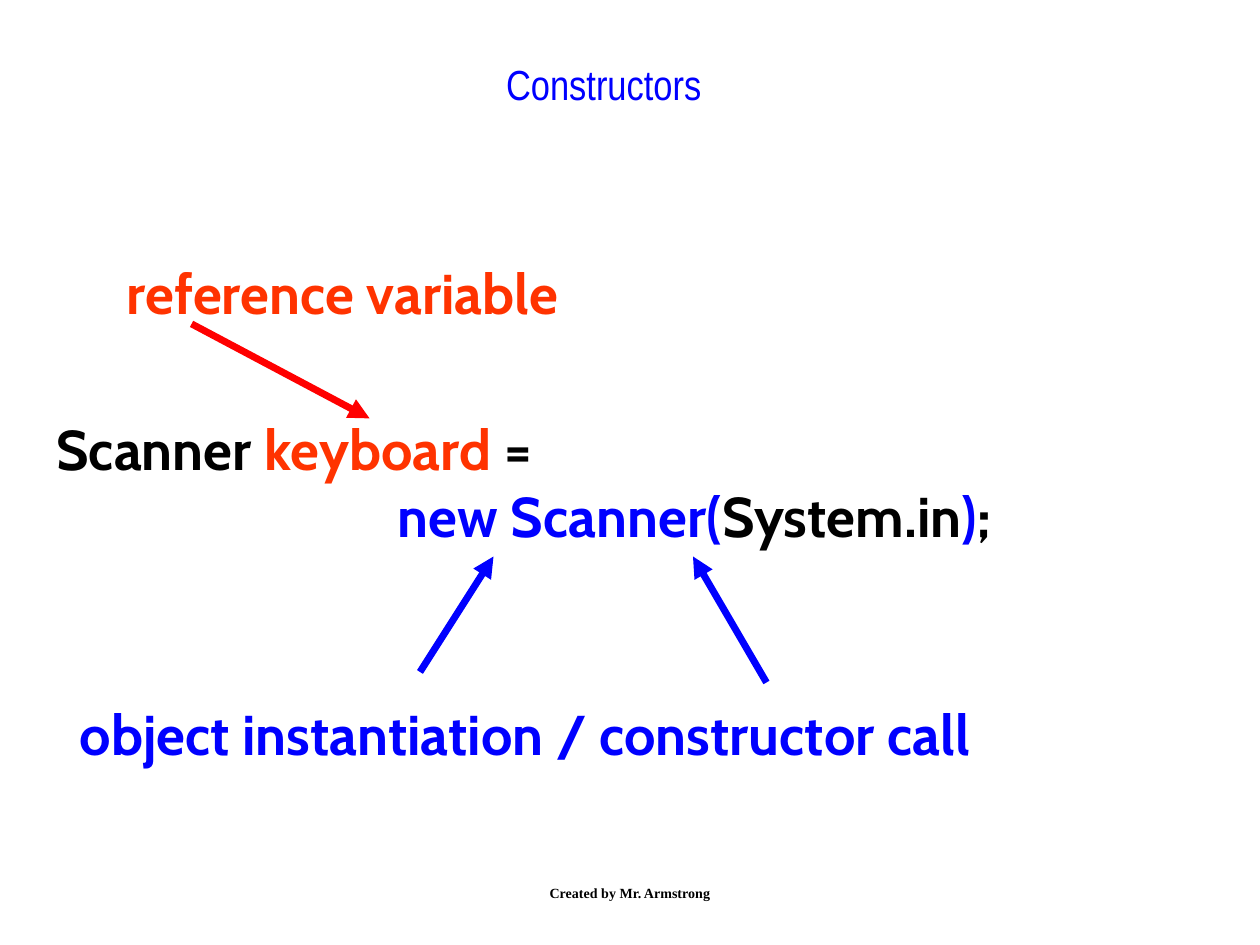
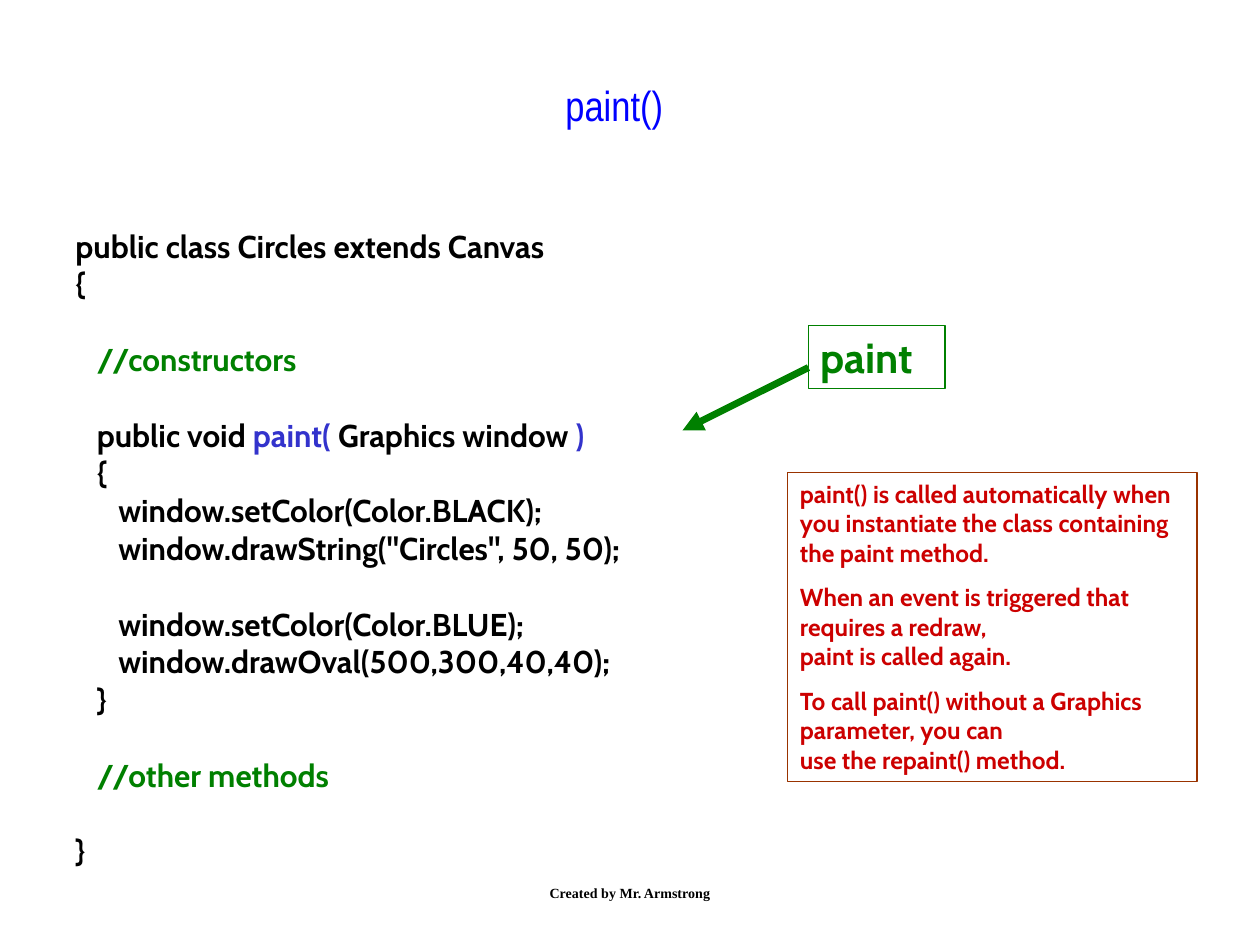
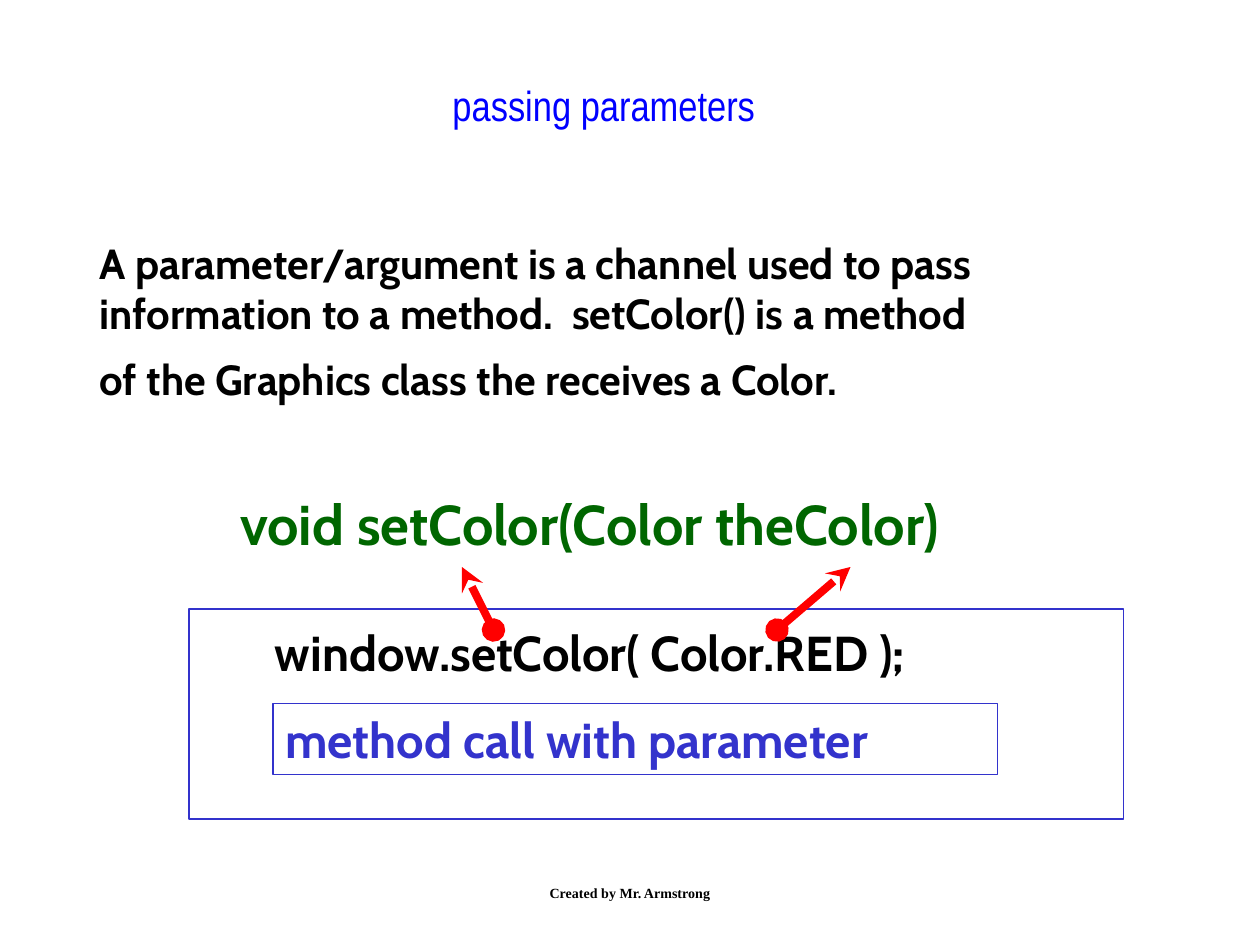
"""Build three lesson slides on constructors, paint() and passing parameters."""
from lxml import etree
from pptx import Presentation
from pptx.dml.color import RGBColor
from pptx.enum.shapes import MSO_CONNECTOR, MSO_SHAPE
from pptx.enum.text import MSO_ANCHOR, PP_ALIGN
from pptx.oxml.ns import qn
from pptx.util import Inches, Pt

CENTER, LEFT = PP_ALIGN.CENTER, PP_ALIGN.LEFT
TOP, MIDDLE = MSO_ANCHOR.TOP, MSO_ANCHOR.MIDDLE
STRAIGHT, RECTANGLE = MSO_CONNECTOR.STRAIGHT, MSO_SHAPE.RECTANGLE

COLUMNS, ROWS = 120, 90
CELL = Inches(10) / COLUMNS
LINE_HEIGHT = 1.2

BLACK, WHITE, BLUE, INDIGO = "000000", "FFFFFF", "0000FF", "3333CC"
RED, ORANGE, CRIMSON, BROWN = "FF0000", "FF3300", "CC0000", "993300"
GREEN, DARK_GREEN = "008000", "006600"

BODY = {"name": "Cabin", "bold": True}
TITLE = {"name": "Arial Narrow", "bold": False, "size": Pt(24)}
FOOTER = {"name": "Times New Roman", "bold": True, "size": Pt(8)}


def add_text(slide, box, paragraphs, font, align=LEFT, anchor=TOP, fill=None, line=None):
    """Add a box of (runs, indent, space before) paragraphs; each run is (text, colour)."""
    place = [round(cells * CELL) for cells in box]
    if fill or line:
        shape = slide.shapes.add_shape(RECTANGLE, *place)
        shape.shadow.inherit = False
        shape.fill.background()
        shape.line.fill.background()
    else:
        shape = slide.shapes.add_textbox(*place)
    if fill:
        shape.fill.solid()
        shape.fill.fore_color.rgb = RGBColor.from_string(fill)
    if line:
        shape.line.color.rgb = RGBColor.from_string(line)
        shape.line.width = Pt(0.75)
    frame = shape.text_frame
    frame.word_wrap = True
    frame.vertical_anchor = anchor
    for index, (runs, indent, space) in enumerate(paragraphs):
        paragraph = frame.paragraphs[0] if index == 0 else frame.add_paragraph()
        paragraph.alignment = align
        paragraph.space_before = Pt(space)
        if indent:
            paragraph._p.get_or_add_pPr().set("marL", str(Inches(indent)))
        for text, color in runs:
            for number, part in enumerate(text.split("\n")):
                if number:
                    paragraph.add_line_break()
                run = paragraph.add_run()
                run.text = part
                for name, value in font.items():
                    setattr(run.font, name, value)
                run.font.color.rgb = RGBColor.from_string(color)


def add_arrow(slide, start, end, color, width, tail, head="none"):
    """Draw a straight arrow between two grid points."""
    points = [round(cells * CELL) for cells in (*start, *end)]
    arrow = slide.shapes.add_connector(STRAIGHT, *points)
    arrow.line.color.rgb = RGBColor.from_string(color)
    arrow.line.width = Pt(width)
    outline = arrow.line._get_or_add_ln()
    for tag, kind in (("a:headEnd", head), ("a:tailEnd", tail)):
        etree.SubElement(outline, qn(tag)).set("type", kind)
    etree.SubElement(arrow._element.spPr, qn("a:effectLst"))


presentation = Presentation()
presentation.slide_width = round(COLUMNS * CELL)
presentation.slide_height = round(ROWS * CELL)
slides = []
for title, title_box in (
    ("Constructors", (13, 5, 89, 10)),
    ("paint()", (22, 7, 73, 11)),
    ("passing parameters", (12, 7, 91, 9)),
):
    slide = presentation.slides.add_slide(presentation.slide_layouts[6])
    add_text(slide, title_box, [([(title, BLUE)], 0, 0)], TITLE, align=CENTER)
    add_text(slide, (41, 82, 38, 6), [([("Created by Mr. Armstrong", BLACK)], 0, 0)],
             FOOTER, align=CENTER, anchor=MIDDLE)
    slides.append(slide)
constructors, paint, parameters = slides

large = {**BODY, "size": Pt(32)}
declaration = [
    ([("Scanner ", BLACK), ("keyboard", ORANGE), (" =", BLACK)], 0, 0),
    ([("new Scanner(", BLUE), ("System.in", BLACK), (")", BLUE), (";", BLACK)], 2.71, 0),
]
add_text(constructors, (4.2, 38.9, 111, 26.9), declaration, large, fill=WHITE)
for label, color, box in (
    ("reference variable", ORANGE, (10.9, 24, 51.2, 7.7)),
    ("object instantiation / constructor call", BLUE, (6.4, 66, 101.9, 7.7)),
):
    add_text(constructors, box, [([(label, color)], 0, 0)], large)
for start, end, color in (
    ((18.25, 30.85), (35.2, 39.85), RED),
    ((40, 64), (47, 53), BLUE),
    ((73, 65), (66, 53), BLUE),
):
    add_arrow(constructors, start, end, color, 4, "triangle")

code_lines = [
    (0, 0, [("public class Circles extends Canvas", BLACK)]),
    (0, 0, [("{", BLACK)]),
    (1, 1, [("//constructors", GREEN)]),
    (1, 1, [("public void ", BLACK), ("paint(", INDIGO), (" Graphics window", BLACK), (" )", INDIGO)]),
    (1, 0, [("{", BLACK)]),
    (2, 0, [("window.setColor(Color.BLACK);", BLACK)]),
    (2, 0, [('window.drawString("Circles", 50, 50);', BLACK)]),
    (2, 1, [("window.setColor(Color.BLUE);", BLACK)]),
    (2, 0, [("window.drawOval(500,300,40,40);", BLACK)]),
    (1, 0, [("}", BLACK)]),
    (1, 1, [("//other methods", GREEN)]),
    (0, 1, [("}", BLACK)]),
]
code = [(runs, level * 0.17, gap * 18 * LINE_HEIGHT) for level, gap, runs in code_lines]
add_text(paint, (6, 21, 68, 62.4), code, {**BODY, "size": Pt(18)})

notes = (
    "paint() is called automatically when you instantiate the class containing the paint method.",
    "When an event is triggered that requires a redraw,\npaint is called again.",
    "To call paint() without a Graphics parameter, you can\nuse the repaint() method.",
)
note_paragraphs = [([(note, CRIMSON)], 0, 8.8 if index else 0) for index, note in enumerate(notes)]
add_text(paint, (75, 45, 39, 29.4), note_paragraphs, {**BODY, "size": Pt(14)}, line=BROWN)
add_arrow(paint, (77, 35), (65, 41), GREEN, 4, "triangle")
add_text(paint, (77, 31, 13, 6), [([("paint", GREEN)], 0, 0)], {**BODY, "size": Pt(24)}, line=GREEN)

definition = [
    ([("A parameter/argument is a channel used to pass\n"
       "information to a method.  setColor() is a method", BLACK)], 0, 0),
    ([("of the Graphics class the receives a Color.", BLACK)], 0, 8.6),
]
add_text(parameters, (8.3, 22, 99.7, 17.3), definition, {**BODY, "size": Pt(24)})
add_text(parameters, (18, 58, 89, 20), [], BODY, line=INDIGO)
medium = {**BODY, "size": Pt(28)}
add_text(parameters, (21.7, 46, 80.8, 7.7), [([("void setColor(Color theColor)", DARK_GREEN)], 0, 0)], large)
add_text(parameters, (25, 58.7, 72, 6.8), [([("window.setColor( Color.RED );", BLACK)], 0, 0)], medium)
add_text(parameters, (26, 67, 69, 6.8), [([("method call with parameter", INDIGO)], 0, 0)],
         medium, line=INDIGO)
for start, end in (((47, 60), (44, 54)), ((74, 60), (81, 54))):
    add_arrow(parameters, start, end, RED, 4.5, "stealth", head="oval")

presentation.save("out.pptx")
